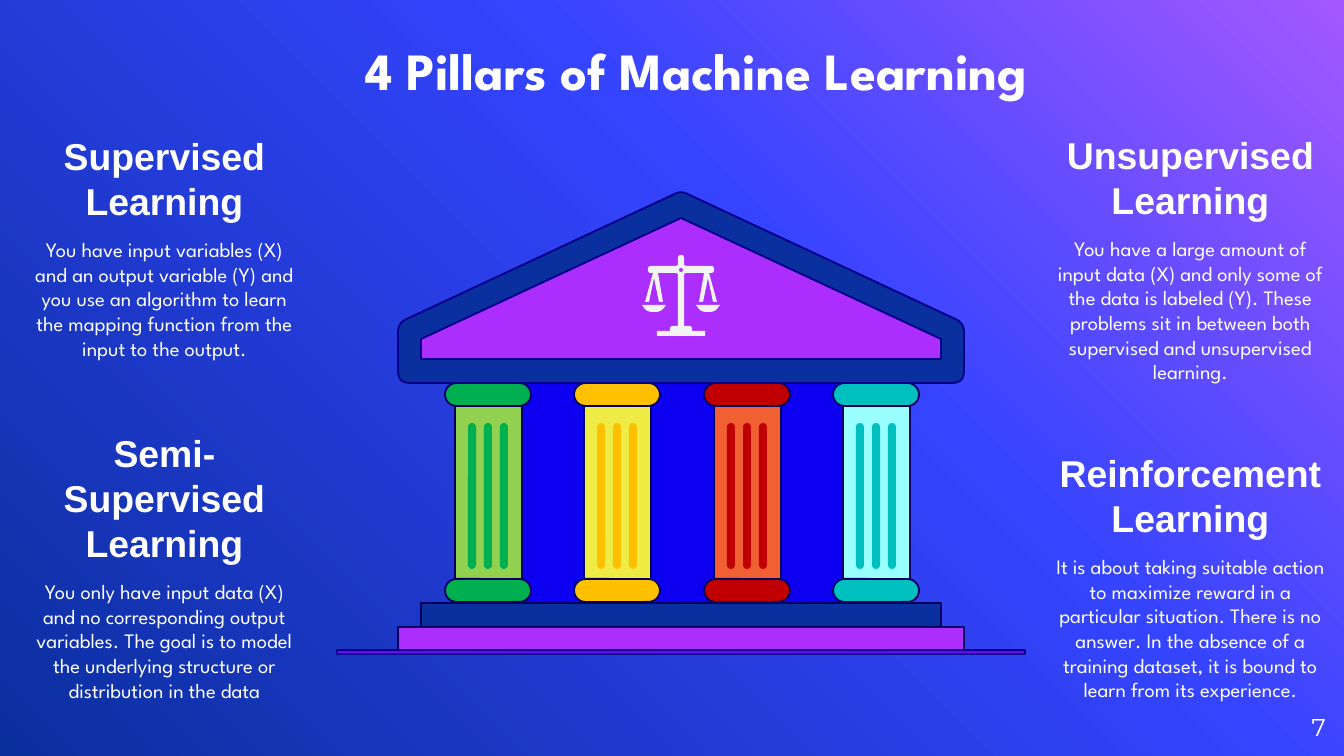
"""Build a slide that shows the four pillars of machine learning as a temple."""
from copy import deepcopy
from math import hypot

from pptx import Presentation
from pptx.dml.color import RGBColor
from pptx.enum.shapes import MSO_SHAPE
from pptx.enum.text import MSO_ANCHOR, MSO_AUTO_SIZE, PP_ALIGN
from pptx.oxml.ns import qn
from pptx.util import Emu, Pt

RECTANGLE, ROUNDED = MSO_SHAPE.RECTANGLE, MSO_SHAPE.ROUNDED_RECTANGLE
TOP, MIDDLE, BOTTOM = MSO_ANCHOR.TOP, MSO_ANCHOR.MIDDLE, MSO_ANCHOR.BOTTOM
CENTER, RIGHT = PP_ALIGN.CENTER, PP_ALIGN.RIGHT
NO_AUTOFIT = MSO_AUTO_SIZE.NONE

EMU_PER_PX = 914400 / 134.4
CURVE_STEPS = 6

WHITE = RGBColor(0xFF, 0xFF, 0xFF)
LILAC = RGBColor(0xA4, 0x58, 0xFF)
BLUE = RGBColor(0x35, 0x44, 0xFF)
NAVY = RGBColor(0x0A, 0x2F, 0x9E)
DEEP_BLUE = RGBColor(0x0D, 0x00, 0xF1)
PURPLE = RGBColor(0xAB, 0x2E, 0xFF)
VIOLET = RGBColor(0x75, 0x02, 0xFF)
INK = RGBColor(0x05, 0x00, 0x60)
ROOF_INK = RGBColor(0x07, 0x00, 0x89)
PALE_GRAY = RGBColor(0xF3, 0xF3, 0xF3)

BACKGROUND_STOPS = [(0, LILAC), (0.39, BLUE), (1, NAVY)]

PILLARS = [
    (RGBColor(0x92, 0xD0, 0x50), RGBColor(0x00, 0xB0, 0x50)),
    (RGBColor(0xF0, 0xEC, 0x46), RGBColor(0xFF, 0xC0, 0x00)),
    (RGBColor(0xF1, 0x60, 0x33), RGBColor(0xC0, 0x00, 0x00)),
    (RGBColor(0x99, 0xFF, 0xFF), RGBColor(0x00, 0xBF, 0xBF)),
]

TOPICS = [
    (28, 126, 104, "Supervised Learning",
     "You have input variables (X) and an output variable (Y) and you use an algorithm "
     "to learn the mapping function from the input to the output."),
    (1054, 125, 104, "Unsupervised Learning",
     "You have a large amount of input data (X) and only some of the data is labeled (Y). "
     "These problems sit in between both supervised and unsupervised learning."),
    (28, 423, 149, "Semi-Supervised Learning",
     "You only have input data (X) and no corresponding output variables. The goal is to "
     "model the underlying structure or distribution in the data"),
    (1054, 443, 104, "Reinforcement Learning",
     "It is about taking suitable action to maximize reward in a particular situation. "
     "There is no answer. In the absence of a training dataset, it is bound to learn from "
     "its experience."),
]

AXIS = 681
SCALES_HALF = [
    (3, 255, 3), (3, 265), (5, 266), (33, 266, 3), (33, 273, 3), (28, 273), (36, 302),
    (32, 302), (27, 278), (22, 302), (18, 302), (23, 273), (5, 273), (3, 274), (3, 326),
    (11, 326, 3), (11, 331), (24, 331), (24, 336),
]
ROOF_FRAME_HALF = [(0, 191, 6), (283, 323, 9), (283, 383, 12)]
ROOF_OPENING_HALF = [(0, 218), (260, 339), (260, 359)]
GABLE_HALF = [(0, 204), (271, 331), (271, 371)]
PIVOT = [(AXIS - 2, 268, 2), (AXIS + 2, 268, 2), (AXIS + 2, 272, 2), (AXIS - 2, 272, 2)]


def px(length):
    return Emu(round(length * EMU_PER_PX))


def mirrored(half):
    right = [(AXIS + x, *rest) for x, *rest in half]
    left = [(AXIS - x, *rest) for x, *rest in reversed(half) if x]
    return right + left


def rounded(vertices):
    points = []
    for index, (x, y, *radius) in enumerate(vertices):
        if not radius:
            points.append((x, y))
            continue
        ends = []
        for near in (vertices[index - 1], vertices[(index + 1) % len(vertices)]):
            share = radius[0] / hypot(near[0] - x, near[1] - y)
            ends.append((x + share * (near[0] - x), y + share * (near[1] - y)))
        (x1, y1), (x2, y2) = ends
        for step in range(CURVE_STEPS + 1):
            t = step / CURVE_STEPS
            a, b, c = (1 - t) ** 2, 2 * t * (1 - t), t ** 2
            points.append((a * x1 + b * x + c * x2, a * y1 + b * y + c * y2))
    return points


class Painter:
    heading_font = "Arial"
    text_font = "League Spartan"
    number_font = "Montserrat"

    def __init__(self, slide):
        self.slide = slide

    def background(self, stops):
        fill = self.slide.background.fill
        fill.gradient()
        fill.gradient_angle = 225
        stop_list = self.slide.element.find(".//" + qn("a:gsLst"))
        stop_list.append(deepcopy(stop_list[0]))
        for stop, (position, color) in zip(fill.gradient_stops, stops):
            stop.position = position
            stop.color.rgb = color

    def set_text(self, shape, text, font, size, anchor, align=CENTER, bold=False,
                 spacing=None, inset=0):
        frame = shape.text_frame
        frame.word_wrap = True
        frame.auto_size = NO_AUTOFIT
        frame.vertical_anchor = anchor
        frame.margin_left = frame.margin_right = 0
        frame.margin_top = frame.margin_bottom = px(inset)
        paragraph = frame.paragraphs[0]
        paragraph.alignment = align
        if spacing:
            paragraph.line_spacing = Pt(spacing)
        run = paragraph.add_run()
        run.text = text
        run.font.name = font
        run.font.size = Pt(size)
        run.font.bold = bold
        run.font.color.rgb = WHITE

    def title(self, text, left, top, width, height):
        shape = self.slide.shapes.title
        shape.left, shape.top, shape.width, shape.height = map(px, (left, top, width, height))
        self.set_text(shape, text, self.text_font, 28, BOTTOM, bold=True)

    def text_box(self, text, left, top, width, height, *style, **options):
        shape = self.slide.shapes.add_textbox(*map(px, (left, top, width, height)))
        self.set_text(shape, text, *style, **options)

    def topic(self, left, top, heading_height, heading, body):
        self.text_box(heading, left, top, 273, heading_height, self.heading_font, 20, BOTTOM,
                      bold=True, spacing=24, inset=7)
        self.text_box(body, left, top + heading_height, 273, 163, self.text_font, 11, TOP,
                      spacing=13.2, inset=7)

    def paint(self, shape, fill, line):
        shape.shadow.inherit = False
        shape.fill.solid()
        shape.fill.fore_color.rgb = fill
        if line is None:
            shape.line.fill.background()
        else:
            shape.line.color.rgb = line
            shape.line.width = Pt(1)

    def block(self, left, top, width, height, fill, line=None, kind=RECTANGLE):
        shape = self.slide.shapes.add_shape(kind, *map(px, (left, top, width, height)))
        if kind == ROUNDED:
            shape.adjustments[0] = 0.5
        self.paint(shape, fill, line)

    def outline(self, contours, fill, line=None):
        builder = None
        for contour in contours:
            points = [(px(x), px(y)) for x, y in rounded(contour)]
            if builder is None:
                builder = self.slide.shapes.build_freeform(*points[0])
            else:
                builder.move_to(*points[0])
            builder.add_line_segments(points[1:], close=True)
        self.paint(builder.convert_to_shape(), fill, line)

    def pillar(self, left, light, dark):
        self.block(left + 10, 395, 67, 196, light, INK)
        for top in (383, 579):
            self.block(left, top, 86, 23, dark, INK, ROUNDED)
        for flute in range(3):
            self.block(left + 23 + 16 * flute, 423, 8, 146, dark, kind=ROUNDED)


def main():
    presentation = Presentation()
    presentation.slide_width, presentation.slide_height = px(1344), px(756)
    slide = presentation.slides.add_slide(presentation.slide_layouts[5])
    painter = Painter(slide)
    painter.background(BACKGROUND_STOPS)
    painter.title("4 Pillars of Machine Learning", 85, 31, 1222, 70)
    for topic in TOPICS:
        painter.topic(*topic)

    painter.block(484, 345, 405, 270, DEEP_BLUE)
    painter.block(398, 627, 566, 24, PURPLE, INK)
    painter.block(421, 603, 520, 24, NAVY, INK)
    for index, (light, dark) in enumerate(PILLARS):
        painter.pillar(445 + index * 259 // 2, light, dark)
    painter.outline([mirrored(GABLE_HALF)], PURPLE)
    painter.outline([mirrored(ROOF_FRAME_HALF), mirrored(ROOF_OPENING_HALF)], NAVY, ROOF_INK)
    painter.block(337, 650, 688, 4, VIOLET, ROOF_INK)

    painter.outline([mirrored(SCALES_HALF), PIVOT], PALE_GRAY)
    for left in (642, 696):
        painter.outline([[(left, 305), (left + 24, 305), (left + 19, 312, 5),
                          (left + 5, 312, 5)]], PALE_GRAY)
    painter.text_box("7", 1246, 698, 80, 58, painter.number_font, 13, MIDDLE, align=RIGHT)
    presentation.save("out.pptx")


if __name__ == "__main__":
    main()
